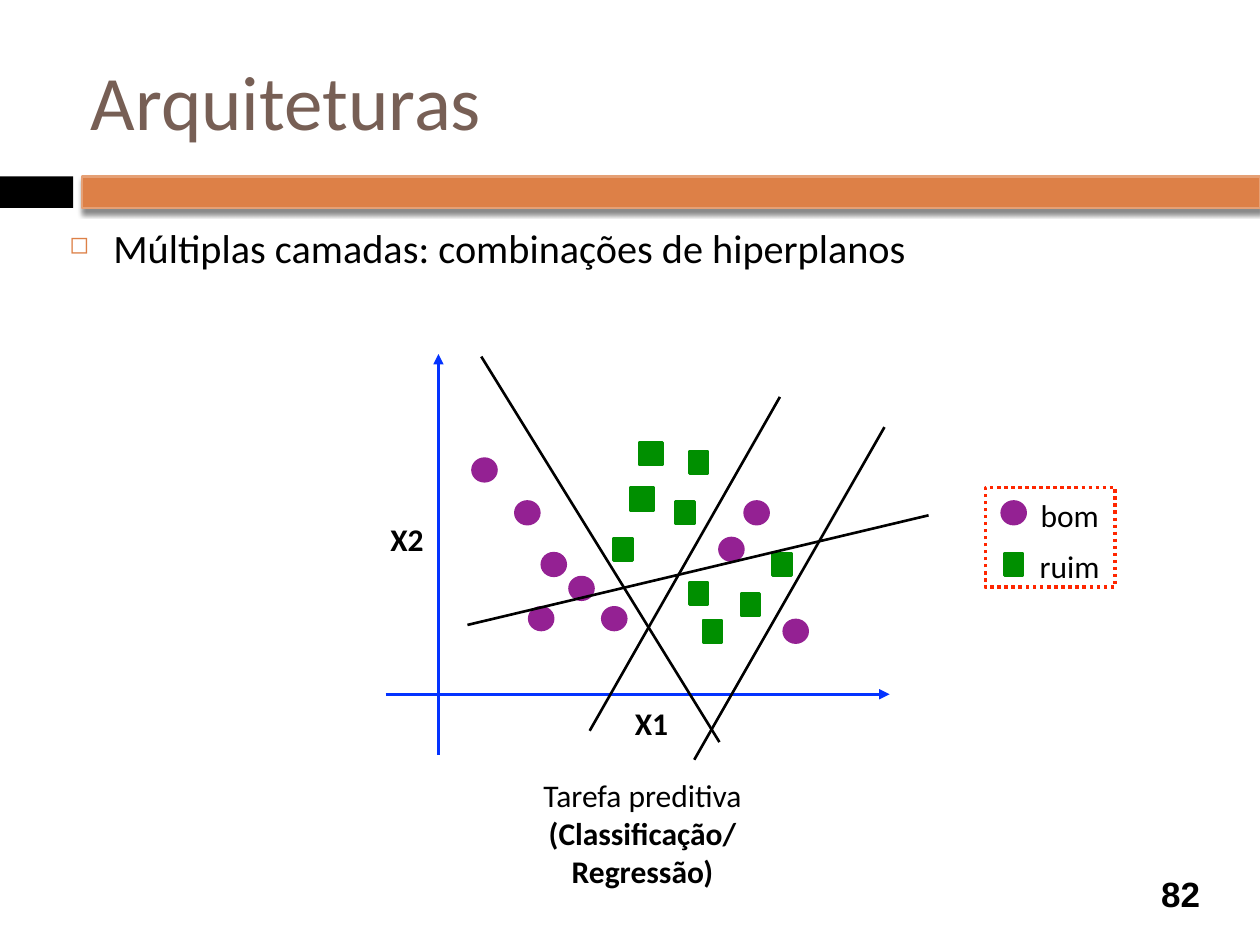
from lxml import etree
from pptx import Presentation
from pptx.dml.color import RGBColor
from pptx.enum.dml import MSO_LINE
from pptx.enum.shapes import MSO_CONNECTOR, MSO_SHAPE
from pptx.enum.text import MSO_ANCHOR, PP_ALIGN
from pptx.oxml.ns import qn
from pptx.util import Inches, Pt

RECTANGLE, OVAL = MSO_SHAPE.RECTANGLE, MSO_SHAPE.OVAL
STRAIGHT = MSO_CONNECTOR.STRAIGHT
DOTTED = MSO_LINE.ROUND_DOT
LEFT, CENTER = PP_ALIGN.LEFT, PP_ALIGN.CENTER
TOP, MIDDLE = MSO_ANCHOR.TOP, MSO_ANCHOR.MIDDLE

COLUMNS, ROWS = 100, 75
WIDTH, HEIGHT = Inches(10), Inches(7.5)

BLACK, BROWN, ORANGE, PALE_ORANGE = "000000", "775F55", "DD8047", "E5A075"
BLUE, GREEN, PURPLE, RED = "0433FF", "008F00", "942193", "FF2600"

# Left and top of each marker, in columns and rows
GOOD_POINTS = [(37.5, 36.4), (40.9, 39.8), (43, 43.9), (45.2, 45.8), (47.8, 48.2),
               (42, 48.2), (59.1, 39.8), (57.1, 42.7), (62.2, 49.2)]
BAD_POINTS = [(53.6, 39.8), (54.7, 35.8), (61.3, 43.9), (55.8, 49.2),
              (54.7, 46.2), (58.8, 47.1), (48.7, 42.7)]
WIDE_BAD_POINTS = [(50.7, 35.1), (50, 38.7)]
AXES = [((30.6, 55.1), (70.6, 55.1)), ((34.8, 59.9), (34.8, 28.1))]
HYPERPLANES = [((57.1, 58.9), (38.2, 28.3)), ((55.1, 60.3), (70.2, 33.9)),
               ((46.8, 58), (61.9, 31.5)), ((37.1, 49.6), (73.7, 40.9))]
LABELS = [(48.8, 55.4, "X1"), (29.4, 40.8, "X2")]


def color(value):
    return RGBColor.from_string(value)


def add_xml(parent, tag, **attributes):
    values = {name: str(value) for name, value in attributes.items()}
    return etree.SubElement(parent, qn(tag), values)


class SlideBuilder:
    """Draws on one slide; every position is in grid columns and rows."""

    font = "Calibri"
    inset = Inches(0.05)
    line_width = 1.5
    label_size = 18

    def __init__(self, slide):
        self.slide = slide

    def grid(self, *lengths):
        """Turn alternating columns and rows into slide lengths."""
        units = (WIDTH / COLUMNS, HEIGHT / ROWS)
        return [round(length * units[i % 2]) for i, length in enumerate(lengths)]

    def shape(self, kind, box, fill=None, line=None, width=line_width, dash=None):
        shape = self.slide.shapes.add_shape(kind, *self.grid(*box))
        shape.shadow.inherit = False
        if fill:
            shape.fill.solid()
            shape.fill.fore_color.rgb = color(fill)
        else:
            shape.fill.background()
        if line:
            shape.line.color.rgb = color(line)
            shape.line.width = Pt(width)
        else:
            shape.line.fill.background()
        if dash:
            shape.line.dash_style = dash
        return shape

    def drop_shadow(self, shape):
        effects = shape._element.spPr.find(qn("a:effectLst"))
        shadow = add_xml(effects, "a:outerShdw", blurRad=Pt(3), dist=Pt(2.4),
                         dir=90 * 60000, algn="ctr", rotWithShape=0)
        shade = add_xml(shadow, "a:srgbClr", val=BLACK)
        add_xml(shade, "a:alpha", val=45000)

    def good(self, left, top):
        self.shape(OVAL, (left, top, 1.9, 1.8), PURPLE, PURPLE)

    def bad(self, left, top, width=1.5):
        self.shape(RECTANGLE, (left, top, width, 1.8), GREEN, GREEN)

    def line(self, start, end, line_color, arrow=False):
        connector = self.slide.shapes.add_connector(STRAIGHT, *self.grid(*start, *end))
        connector.line.color.rgb = color(line_color)
        connector.line.width = Pt(self.line_width)
        if arrow:
            add_xml(connector.line._get_or_add_ln(), "a:tailEnd", type="triangle")
        add_xml(connector._element.spPr, "a:effectLst")

    def text(self, box, lines, size=label_size, align=CENTER, anchor=TOP,
             text_color=BLACK, font=font, bullet=None):
        """Add a text box; lines holds (text, bold) pairs, one per paragraph."""
        frame = self.slide.shapes.add_textbox(*self.grid(*box)).text_frame
        frame.word_wrap = True
        frame.vertical_anchor = anchor
        frame.margin_left = frame.margin_right = self.inset
        frame.margin_top = frame.margin_bottom = self.inset
        for index, (content, bold) in enumerate(lines):
            paragraph = frame.paragraphs[0] if index == 0 else frame.add_paragraph()
            paragraph.alignment = align
            if bullet:
                self.bullet(paragraph, bullet)
            run = paragraph.add_run()
            run.text = content
            run.font.name = font
            run.font.size = Pt(size)
            run.font.bold = bold
            run.font.color.rgb = color(text_color)

    def bullet(self, paragraph, character):
        properties = paragraph._p.get_or_add_pPr()
        indent = Inches(0.35)
        properties.set("marL", str(indent))
        properties.set("indent", str(-indent))
        add_xml(add_xml(properties, "a:buClr"), "a:srgbClr", val=ORANGE)
        add_xml(properties, "a:buSzPct", val=60000)
        add_xml(properties, "a:buChar", char=character)


def draw_header(builder):
    builder.shape(RECTANGLE, (0, 14, 5.8, 2.5), BLACK)
    bar = builder.shape(RECTANGLE, (6.5, 14, 93.5, 2.5), ORANGE, PALE_ORANGE)
    builder.drop_shadow(bar)
    builder.text((6.7, 2.5, 89.2, 10.8), [("Arquiteturas", False)], 44, LEFT, MIDDLE, BROWN)
    builder.text((5, 17.2, 90, 6.1),
                 [("Múltiplas camadas: combinações de hiperplanos", False)],
                 23, LEFT, bullet="◻")


def draw_plot(builder):
    for start, end in AXES:
        builder.line(start, end, BLUE, arrow=True)
    for point in GOOD_POINTS:
        builder.good(*point)
    for point in BAD_POINTS:
        builder.bad(*point)
    for point in WIDE_BAD_POINTS:
        builder.bad(*point, width=1.9)
    for left, top, name in LABELS:
        builder.text((left, top, 5.8, 3.6), [(name, True)])
    for start, end in HYPERPLANES:
        builder.line(start, end, BLACK)
    builder.text((39.3, 61.1, 23.4, 8.9), [("Tarefa preditiva", False),
                                           ("(Classificação/", True), ("Regressão)", True)])


def draw_legend(builder):
    builder.good(79.5, 39.8)
    builder.bad(79.7, 43.9)
    for top, name in [(38.9, "bom"), (42.9, "ruim")]:
        builder.text((81.7, top, 6.4, 3.6), [(name, False)])
    builder.shape(RECTANGLE, (78.2, 38.7, 10.3, 7.9), line=RED, width=2, dash=DOTTED)


def main():
    presentation = Presentation()
    presentation.slide_width, presentation.slide_height = WIDTH, HEIGHT
    blank_layout = presentation.slide_layouts[6]
    builder = SlideBuilder(presentation.slides.add_slide(blank_layout))
    draw_header(builder)
    draw_plot(builder)
    draw_legend(builder)
    builder.text((90.8, 68.9, 5.8, 4.1), [("82", True)], 20, anchor=MIDDLE, font="Arial")
    presentation.save("out.pptx")


if __name__ == "__main__":
    main()
